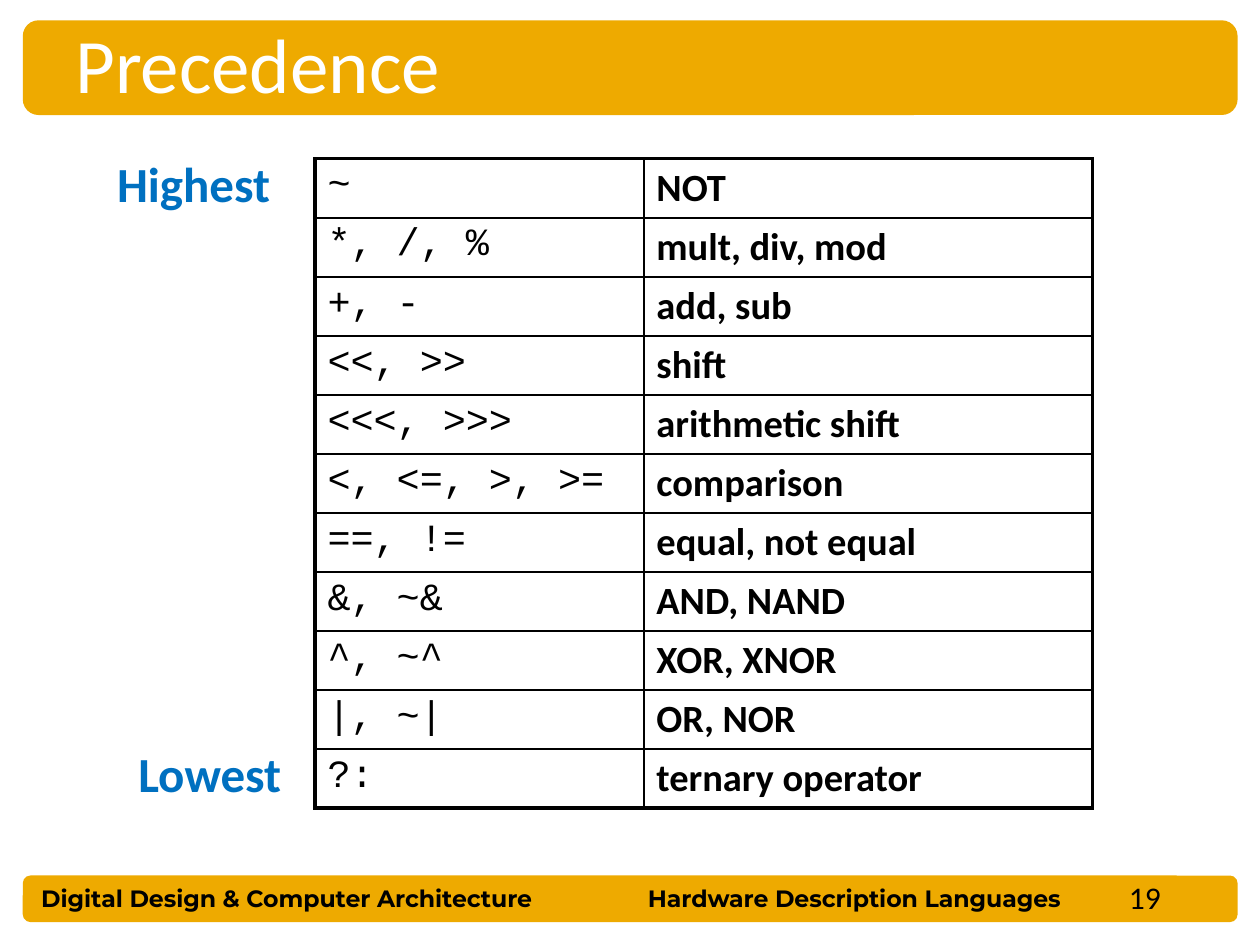
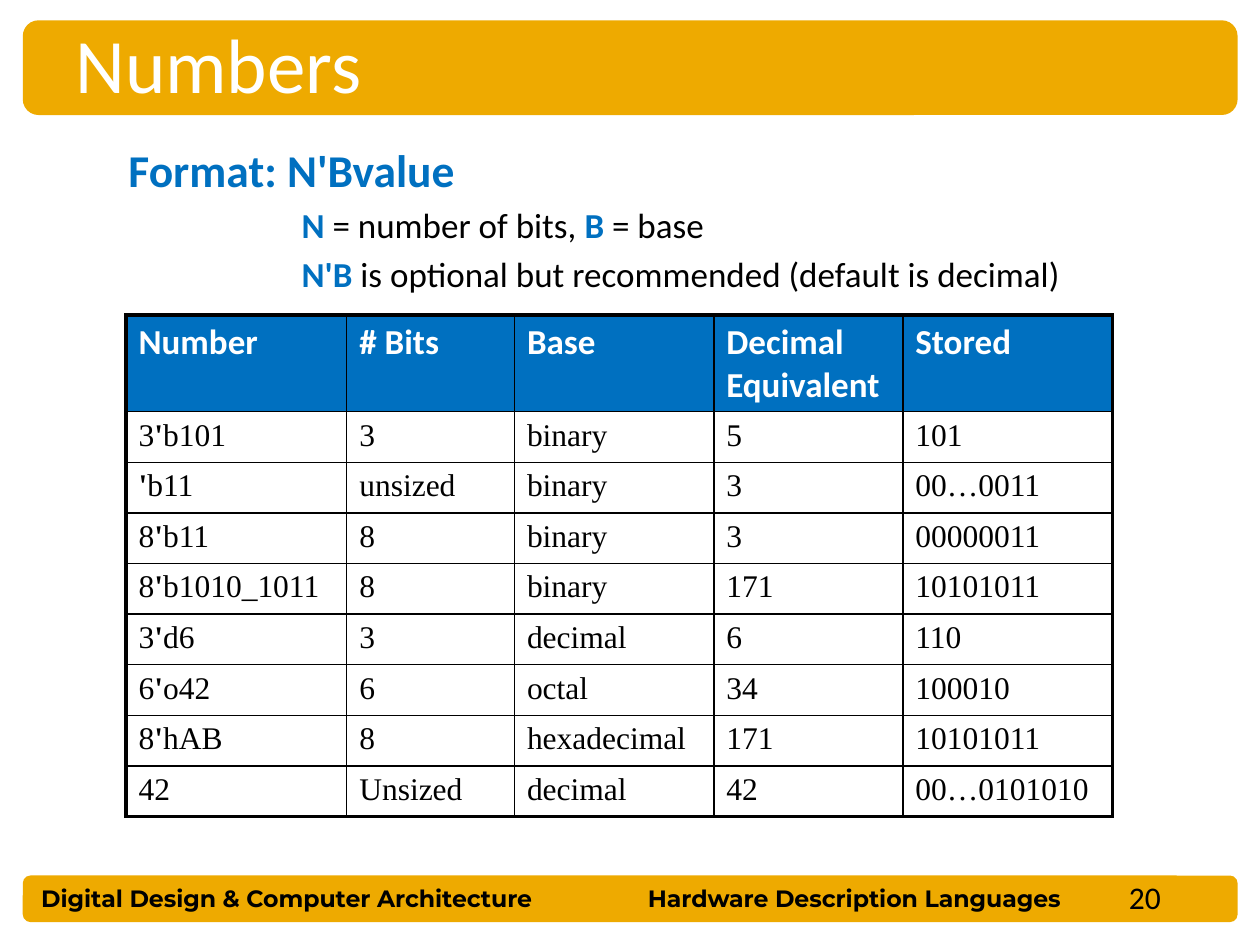
from lxml import etree
from pptx import Presentation
from pptx import util as u
from pptx.dml.color import RGBColor
from pptx.enum import shapes, text
from pptx.oxml.ns import qn

GOLD, BLUE, BLACK, WHITE = "EEAA00", "0070C0", "000000", "FFFFFF"
OUTER, INNER = u.Pt(2.25), u.Pt(1)
rgb = RGBColor.from_string


def write(slide, box, line, size, colour=BLACK, bold=False, face="Calibri",
          align=text.PP_ALIGN.LEFT):
    """Add one line of text in a box (left, top, width, height in cm); return its frame."""
    frame = slide.shapes.add_textbox(*map(u.Cm, box)).text_frame
    frame.word_wrap = True
    paragraph = frame.paragraphs[0]
    paragraph.text = line
    paragraph.alignment = align
    font = paragraph.font
    font.name, font.size, font.bold = face, u.Pt(size), bold
    font.color.rgb = rgb(colour)
    return frame


def add_grid(slide, left, top, widths, heights, rows, style_of):
    """Add a table with a heavy frame; style_of(row, column) gives face, size, colour, bold, fill."""
    table = slide.shapes.add_table(len(rows), len(widths), u.Cm(left), u.Cm(top),
                                   u.Cm(sum(widths)), u.Cm(sum(heights))).table
    table.first_row = table.horz_banding = False
    for column, width in zip(table.columns, widths):
        column.width = u.Cm(width)
    for r, (row, height) in enumerate(zip(rows, heights)):
        table.rows[r].height = u.Cm(height)
        for c, entry in enumerate(row):
            cell = table.cell(r, c)
            face, size, colour, bold, fill = style_of(r, c)
            paragraph = cell.text_frame.paragraphs[0]
            font = paragraph.font
            font.name, font.size, font.bold = face, u.Pt(size), bold
            font.color.rgb = rgb(colour)
            # The base mark ' of a literal stands out in bold
            for part in filter(None, entry.partition("'")):
                run = paragraph.add_run()
                run.text = part
                if part == "'":
                    run.font.bold = True
            properties = cell._tc.get_or_add_tcPr()
            edges = {"L": c == 0, "R": c == len(widths) - 1,
                     "T": r == 0, "B": r == len(rows) - 1}
            for side, is_outer in edges.items():
                border = etree.SubElement(properties, qn(f"a:ln{side}"),
                                          w=str(OUTER if is_outer else INNER))
                solid = etree.SubElement(border, qn("a:solidFill"))
                etree.SubElement(solid, qn("a:srgbClr"), val=BLACK)
            if fill:
                cell.fill.solid()
                cell.fill.fore_color.rgb = rgb(fill)
            else:
                cell.fill.background()


prs = Presentation()
prs.slide_width, prs.slide_height = u.Cm(25.4), u.Cm(19.05)

# Bands, title, footer and number on every slide
pages = []
for number, title in enumerate(["Precedence", "Numbers"], start=19):
    slide = prs.slides.add_slide(prs.slide_layouts[6])
    for top, height in [(17.65, 0.94), (0.41, 1.91)]:
        band = slide.shapes.add_shape(shapes.MSO_SHAPE.ROUNDED_RECTANGLE,
                                      u.Cm(0.46), u.Cm(top), u.Cm(24.49), u.Cm(height))
        band.shadow.inherit = False
        band.fill.solid()
        band.fill.fore_color.rgb = rgb(GOLD)
        band.line.fill.background()
    write(slide, (0.58, 17.7, 11.28, 0.84), "Digital Design & Computer Architecture",
          13.5, bold=True, face="Montserrat")
    write(slide, (10.8, 17.7, 12.85, 0.84), "Hardware Description Languages",
          13.5, bold=True, face="Montserrat", align=text.PP_ALIGN.CENTER)
    write(slide, (1.27, 0.2, 22.02, 2.13), title, 44, WHITE)
    write(slide, (18.82, 17.58, 4.83, 0.99), str(number), 18, align=text.PP_ALIGN.RIGHT)
    pages.append(slide)
precedence, numbers = pages

# Precedence: operators from highest to lowest
operators = [
    ("~", "NOT"),
    ("*, /, %", "mult, div, mod"),
    ("+, -", "add, sub"),
    ("<<, >>", "shift"),
    ("<<<, >>>", "arithmetic shift"),
    ("<, <=, >, >=", "comparison"),
    ("==, !=", "equal, not equal"),
    ("&, ~&", "AND, NAND"),
    ("^, ~^", "XOR, XNOR"),
    ("|, ~|", "OR, NOR"),
    ("?:", "ternary operator"),
]
symbol_style = ("Courier New", 22, BLACK, False, None)
meaning_style = ("Calibri", 22, BLACK, True, None)
add_grid(precedence, 6.35, 3.2, [6.63, 9.04], [1.19] * len(operators), operators,
         lambda r, c: meaning_style if c else symbol_style)
write(precedence, (2.11, 2.97, 4.88, 1.45), "Highest", 28, BLUE, bold=True)
write(precedence, (2.54, 14.86, 4.88, 1.45), "Lowest", 28, BLUE, bold=True)

# Numbers: literals and how they are stored
literals = [
    ("Number", "# Bits", "Base", "Decimal Equivalent", "Stored"),
    ("3'b101", "3", "binary", "5", "101"),
    ("'b11", "unsized", "binary", "3", "00…0011"),
    ("8'b11", "8", "binary", "3", "00000011"),
    ("8'b1010_1011", "8", "binary", "171", "10101011"),
    ("3'd6", "3", "decimal", "6", "110"),
    ("6'o42", "6", "octal", "34", "100010"),
    ("8'hAB", "8", "hexadecimal", "171", "10101011"),
    ("42", "Unsized", "decimal", "42", "00…0101010"),
]
header_style = ("Calibri", 20, WHITE, True, BLUE)
literal_style = ("Times New Roman", 18, BLACK, False, None)
add_grid(numbers, 2.54, 6.35, [4.45, 3.38, 4.02, 3.81, 4.23],
         [1.95] + [1.02] * (len(literals) - 1), literals,
         lambda r, c: literal_style if r else header_style)

syntax = write(numbers, (2.34, 2.74, 21.59, 13.77), "Format: N'Bvalue", 26, BLUE, bold=True)
rules = [
    [("N", True), (" = number of bits, ", False), ("B", True), (" = base", False)],
    [("N'B", True), (" is optional but recommended (default is decimal)", False)],
]
for rule in rules:
    paragraph = syntax.add_paragraph()
    paragraph.space_before = u.Pt(4)
    paragraph.font.name, paragraph.font.size = "Calibri", u.Pt(20)
    paragraph._p.get_or_add_pPr().set("marL", str(u.Cm(3.49)))
    for part, is_term in rule:
        run = paragraph.add_run()
        run.text = part
        run.font.bold = is_term
        run.font.color.rgb = rgb(BLUE if is_term else BLACK)

prs.save("out.pptx")
